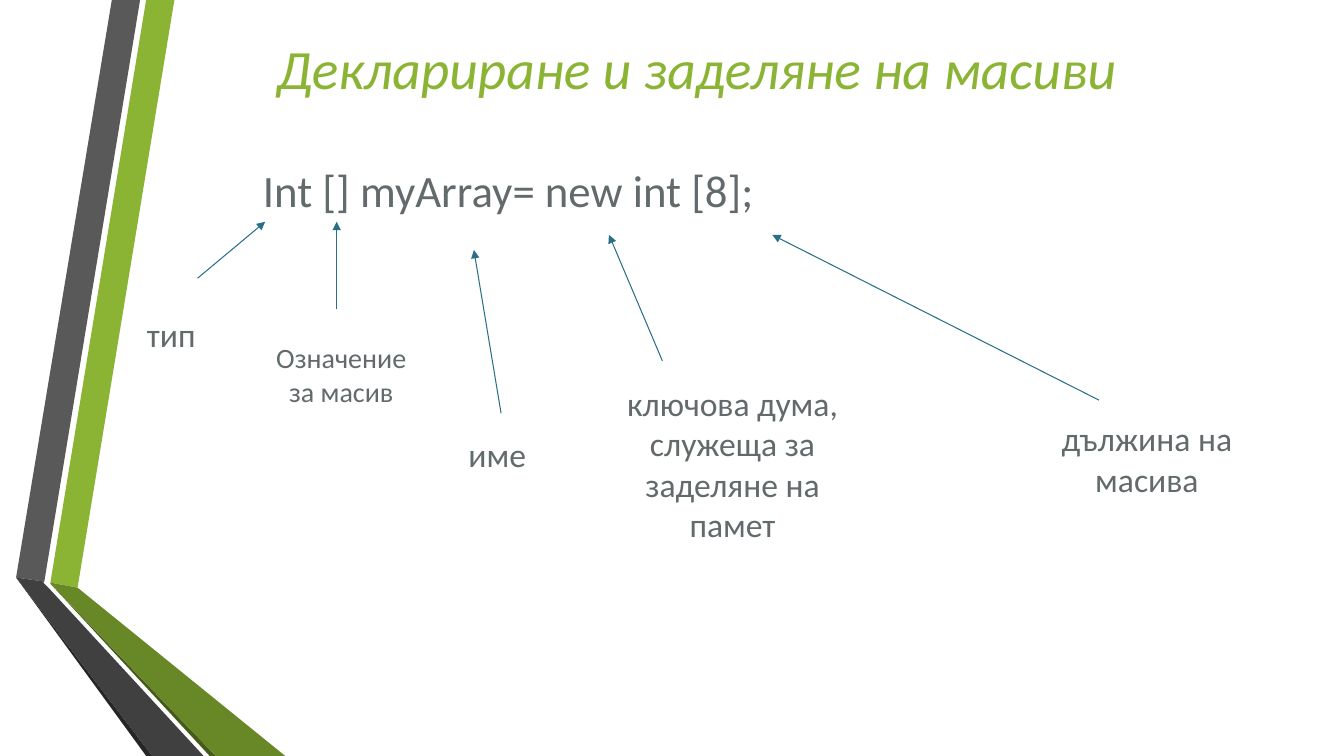
from dataclasses import dataclass

from lxml import etree
from pptx import Presentation
from pptx.dml.color import RGBColor
from pptx.enum.shapes import MSO_CONNECTOR
from pptx.enum.text import MSO_ANCHOR, PP_ALIGN
from pptx.oxml.ns import qn
from pptx.util import Inches, Pt

LEFT, CENTER = PP_ALIGN.LEFT, PP_ALIGN.CENTER
TOP, MIDDLE = MSO_ANCHOR.TOP, MSO_ANCHOR.MIDDLE
STRAIGHT = MSO_CONNECTOR.STRAIGHT


@dataclass(frozen=True)
class Theme:
    font: str = "Calibri"
    green: str = "8BB434"
    green_shade: str = "688727"
    green_edge: str = "465A1A"
    gray: str = "595959"
    gray_shade: str = "404040"
    gray_edge: str = "262626"
    text: str = "636A6C"
    arrow: str = "286F87"
    title_size: float = 39.6
    code_size: float = 32
    label_size: float = 24
    small_size: float = 20
    arrow_width: float = 0.75


THEME = Theme()
WIDTH, HEIGHT = 13.33, 7.5

RIBBONS = [
    (THEME.green, [(0.5, 5.78), (0.77, 5.83), (1.73, 0), (1.45, 0)]),
    (THEME.gray, [(1.39, 0), (1.11, 0), (0.16, 5.73), (0.44, 5.77)]),
    (THEME.gray_edge, [(0.16, 5.73), (1.45, HEIGHT), (1.51, HEIGHT)]),
    (THEME.green_edge, [(0.5, 5.79), (2.08, HEIGHT), (2.14, HEIGHT)]),
    (THEME.green_shade, [(0.5, 5.79), (2.14, HEIGHT), (2.83, HEIGHT), (0.77, 5.83), (0.5, 5.78)]),
    (THEME.gray_shade, [(2.02, HEIGHT), (0.48, 5.83), (0.43, 5.78), (0.44, 5.77),
                        (0.16, 5.73), (1.51, HEIGHT)]),
]

TITLE = ("Деклариране и заделяне на масиви", (1.36, 0.32, 11.1, 0.7))
CODE = ("Int [] myArray= new int [8];", (2.51, 1.57, 7.75, 0.64))

CALLOUTS = [
    ("тип", (1.36, 3.07, 0.87, 0.5), THEME.label_size, LEFT, (1.96, 2.76), (2.63, 2.2)),
    ("Означение за масив", (2.51, 3.33, 1.75, 0.77), THEME.small_size, CENTER, (3.34, 3.07), (3.34, 2.2)),
    ("име ", (4.15, 4.26, 1.64, 0.5), THEME.label_size, CENTER, (4.97, 4.1), (4.7, 2.48)),
    ("ключова дума, служеща за заделяне на памет", (6.04, 3.75, 2.45, 1.72),
     THEME.label_size, CENTER, (6.57, 3.58), (6.04, 2.33)),
    ("дължина на масива", (10.03, 4.1, 2.69, 0.91), THEME.label_size, CENTER, (10.9, 3.97), (7.66, 2.33)),
]


def add_text(page, text, area, size, color=THEME.text, align=LEFT, anchor=TOP, italic=False):
    box = page.shapes.add_textbox(*map(Inches, area))
    frame = box.text_frame
    frame.word_wrap = True
    frame.vertical_anchor = anchor
    para = frame.paragraphs[0]
    para.alignment = align
    span = para.add_run()
    span.text = text
    span.font.name = THEME.font
    span.font.size = Pt(size)
    span.font.italic = italic
    span.font.color.rgb = RGBColor.from_string(color)


def add_ribbon(page, color, points):
    corners = [(Inches(x), Inches(y)) for x, y in points]
    builder = page.shapes.build_freeform(*corners[0])
    builder.add_line_segments(corners[1:], close=True)
    ribbon = builder.convert_to_shape()
    ribbon.shadow.inherit = False
    ribbon.fill.solid()
    ribbon.fill.fore_color.rgb = RGBColor.from_string(color)
    ribbon.line.fill.background()


def add_arrow(page, start, end):
    arrow = page.shapes.add_connector(STRAIGHT, *map(Inches, start + end))
    arrow.line.width = Pt(THEME.arrow_width)
    arrow.line.color.rgb = RGBColor.from_string(THEME.arrow)
    etree.SubElement(arrow.line._get_or_add_ln(), qn("a:tailEnd"), type="triangle")
    etree.SubElement(arrow._element.spPr, qn("a:effectLst"))


def main():
    deck = Presentation()
    deck.slide_width, deck.slide_height = Inches(WIDTH), Inches(HEIGHT)
    page = deck.slides.add_slide(deck.slide_layouts[6])
    for color, points in RIBBONS:
        add_ribbon(page, color, points)
    add_text(page, *TITLE, THEME.title_size, color=THEME.green, align=CENTER, anchor=MIDDLE, italic=True)
    add_text(page, *CODE, THEME.code_size)
    for text, area, size, align, start, end in CALLOUTS:
        add_arrow(page, start, end)
        add_text(page, text, area, size, align=align)
    deck.save("out.pptx")


if __name__ == "__main__":
    main()
